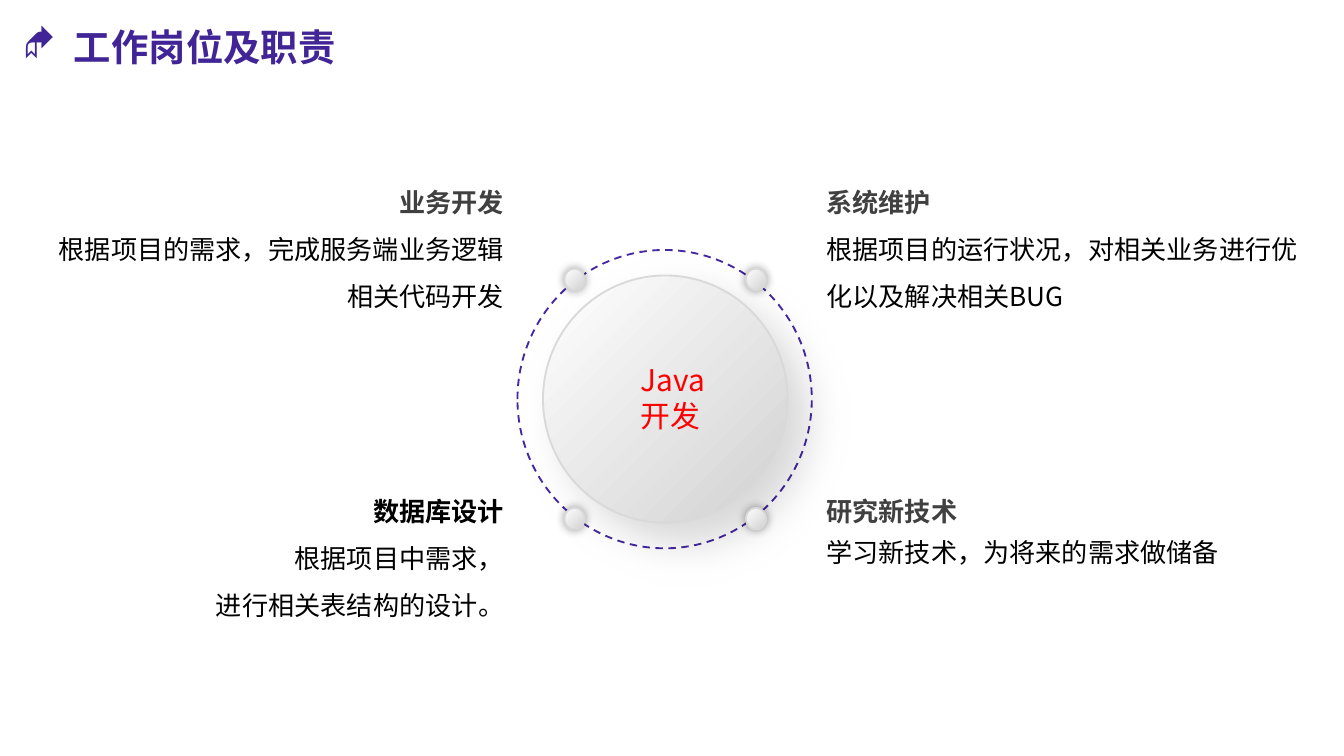
from dataclasses import dataclass

from lxml.etree import SubElement
from pptx import Presentation
from pptx.dml.color import RGBColor
from pptx.enum.dml import MSO_LINE
from pptx.enum.shapes import MSO_SHAPE
from pptx.enum.text import MSO_ANCHOR, MSO_AUTO_SIZE, PP_ALIGN
from pptx.oxml.ns import qn
from pptx.util import Inches, Pt

COLORS = {
    "title": "412597",
    "ring": "45279F",
    "heading": "404040",
    "body": "000000",
    "role": "FF0000",
    "shade": "D1D1D1",
    "light": "FFFFFF",
    "edge": "D9D9D9",
    "shadow": "000000",
}
SANS = "Noto Sans CJK SC"
LATO = "Lato"


@dataclass(frozen=True)
class Box:
    left: float
    top: float
    width: float
    height: float

    def lengths(self):
        return [Inches(v) for v in (self.left, self.top, self.width, self.height)]


@dataclass(frozen=True)
class Shadow:
    opacity: int
    blur: int
    distance: int
    angle: int


@dataclass(frozen=True)
class Run:
    text: str
    color: str = "body"
    bold: bool = False
    font: str = SANS
    size: int = 14


@dataclass(frozen=True)
class Line:
    runs: tuple[Run, ...]
    spacing: float = 1.5


@dataclass(frozen=True)
class Duty:
    box: Box
    align: PP_ALIGN
    lines: tuple[Line, ...]


DEEP = Shadow(15, 20, 15, 45)
GLOW = Shadow(40, 5, 0, 0)
LEFT_X, RIGHT_X, UPPER_Y, LOWER_Y = 0.33, 6.05, 1.22, 3.52
LEFT_WIDTH, RIGHT_WIDTH = 3.52, 3.81

DUTIES = (
    Duty(Box(LEFT_X, UPPER_Y, LEFT_WIDTH, 1.16), PP_ALIGN.RIGHT, (
        Line((Run("业务开发", "heading", True),)),
        Line((Run("根据项目的需求，完成服务端业务逻辑相关代码开发"),)),
    )),
    Duty(Box(RIGHT_X, UPPER_Y, RIGHT_WIDTH, 1.16), PP_ALIGN.LEFT, (
        Line((Run("系统维护", "heading", True),)),
        Line((Run("根据项目的运行状况，对相关业务进行优化以及解决相关BUG"),)),
    )),
    Duty(Box(LEFT_X, LOWER_Y, LEFT_WIDTH, 1.16), PP_ALIGN.RIGHT, (
        Line((Run("数据库设计", bold=True, font=LATO),)),
        Line((Run("根据项目中需求，"),)),
        Line((Run("进行相关表结构的设计"), Run("。", font=LATO))),
    )),
    Duty(Box(RIGHT_X, LOWER_Y, RIGHT_WIDTH, 0.76), PP_ALIGN.LEFT, (
        Line((Run("研究新技术", "heading", True),)),
        Line((Run("学习新技术，为将来的需求做储备"),), 1.3),
    )),
)


def rgb(name: str) -> RGBColor:
    return RGBColor.from_string(COLORS[name])


def add_run(paragraph, run: Run) -> None:
    text_run = paragraph.add_run()
    text_run.text = run.text
    formats = {"name": run.font, "size": Pt(run.size), "bold": run.bold}
    for name, value in formats.items():
        setattr(text_run.font, name, value)
    text_run.font.color.rgb = rgb(run.color)
    SubElement(text_run.font._element, qn("a:ea"), typeface=SANS)


def set_indent(paragraph, margin: float, indent: float):
    properties = paragraph._p.get_or_add_pPr()
    properties.set("marL", str(Inches(margin)))
    properties.set("indent", str(Inches(indent)))
    return properties


def fill_text(shape, lines: tuple[Line, ...], align: PP_ALIGN) -> list:
    frame = shape.text_frame
    formats = {
        "word_wrap": True,
        "auto_size": MSO_AUTO_SIZE.SHAPE_TO_FIT_TEXT,
        "vertical_anchor": MSO_ANCHOR.TOP,
    }
    for name, value in formats.items():
        setattr(frame, name, value)
    for index, line in enumerate(lines):
        paragraph = frame.add_paragraph() if index else frame.paragraphs[0]
        paragraph.alignment = align
        paragraph.line_spacing = line.spacing
        paragraph.space_before = Pt(0)
        for run in line.runs:
            add_run(paragraph, run)
    return list(frame.paragraphs)


def add_title(slide) -> None:
    title = slide.shapes.title
    title.left, title.top, title.width, title.height = Box(0.07, 0.13, 2.66, 0.44).lengths()
    heading = Line((Run("工作岗位及职责", "title", True, size=20),), 1.0)
    paragraph = fill_text(title, (heading,), PP_ALIGN.LEFT)[0]
    properties = set_indent(paragraph, 0.38, -0.38)
    SubElement(properties, qn("a:buFont"), typeface="Wingdings", charset="2")
    SubElement(properties, qn("a:buChar"), char="◆")


def add_shadow(shape, shadow: Shadow) -> None:
    shape.shadow.inherit = False
    effects = shape._element.spPr.find(qn("a:effectLst"))
    outer = SubElement(
        effects, qn("a:outerShdw"), blurRad=str(Pt(shadow.blur)),
        dist=str(Pt(shadow.distance)), dir=str(shadow.angle * 60000),
        algn="ctr", rotWithShape="0",
    )
    color = SubElement(outer, qn("a:srgbClr"), val=COLORS["shadow"])
    SubElement(color, qn("a:alpha"), val=str(shadow.opacity * 1000))


def add_circle(slide, box: Box, line_color: str, shadow: Shadow):
    circle = slide.shapes.add_shape(MSO_SHAPE.OVAL, *box.lengths())
    circle.line.color.rgb = rgb(line_color)
    circle.line.width = Pt(1)
    add_shadow(circle, shadow)
    return circle


def add_ball(slide, box: Box, shadow: Shadow) -> None:
    ball = add_circle(slide, box, "edge", shadow)
    ball.fill.gradient()
    ball.fill.gradient_angle = 135
    for stop, color in zip(ball.fill.gradient_stops, ("shade", "light")):
        stop.color.rgb = rgb(color)


def add_hub(slide) -> None:
    ring = add_circle(slide, Box(3.85, 1.86, 2.19, 2.22), "ring", DEEP)
    ring.fill.background()
    ring.line.dash_style = MSO_LINE.DASH
    add_ball(slide, Box(4.04, 2.05, 1.82, 1.84), DEEP)
    label = slide.shapes.add_textbox(*Box(4.17, 2.64, 1.26, 0.64).lengths())
    role = tuple(Line((Run(text, "role", size=16),), 1.0) for text in ("Java", "开发"))
    for paragraph in fill_text(label, role, PP_ALIGN.LEFT):
        set_indent(paragraph, 0.5, 0)
    for left in (4.2, 5.55):
        for top in (2, 3.78):
            add_ball(slide, Box(left, top, 0.15, 0.16), GLOW)


def main() -> None:
    presentation = Presentation()
    presentation.slide_width = Inches(10)
    presentation.slide_height = presentation.slide_width * 9 // 16
    slide = presentation.slides.add_slide(presentation.slide_layouts[5])
    add_title(slide)
    add_hub(slide)
    for duty in DUTIES:
        text_box = slide.shapes.add_textbox(*duty.box.lengths())
        fill_text(text_box, duty.lines, duty.align)
    presentation.save("out.pptx")


if __name__ == "__main__":
    main()
